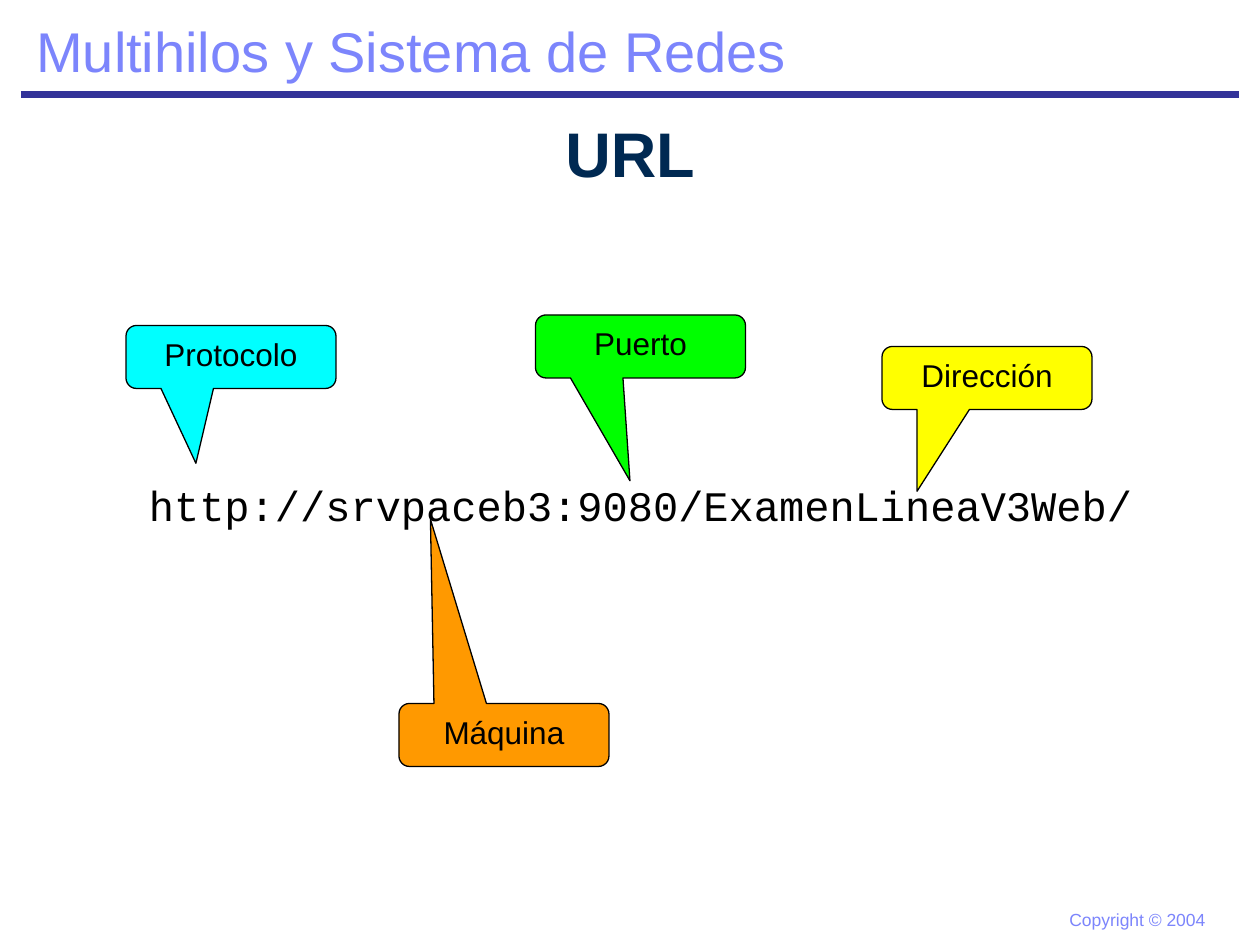
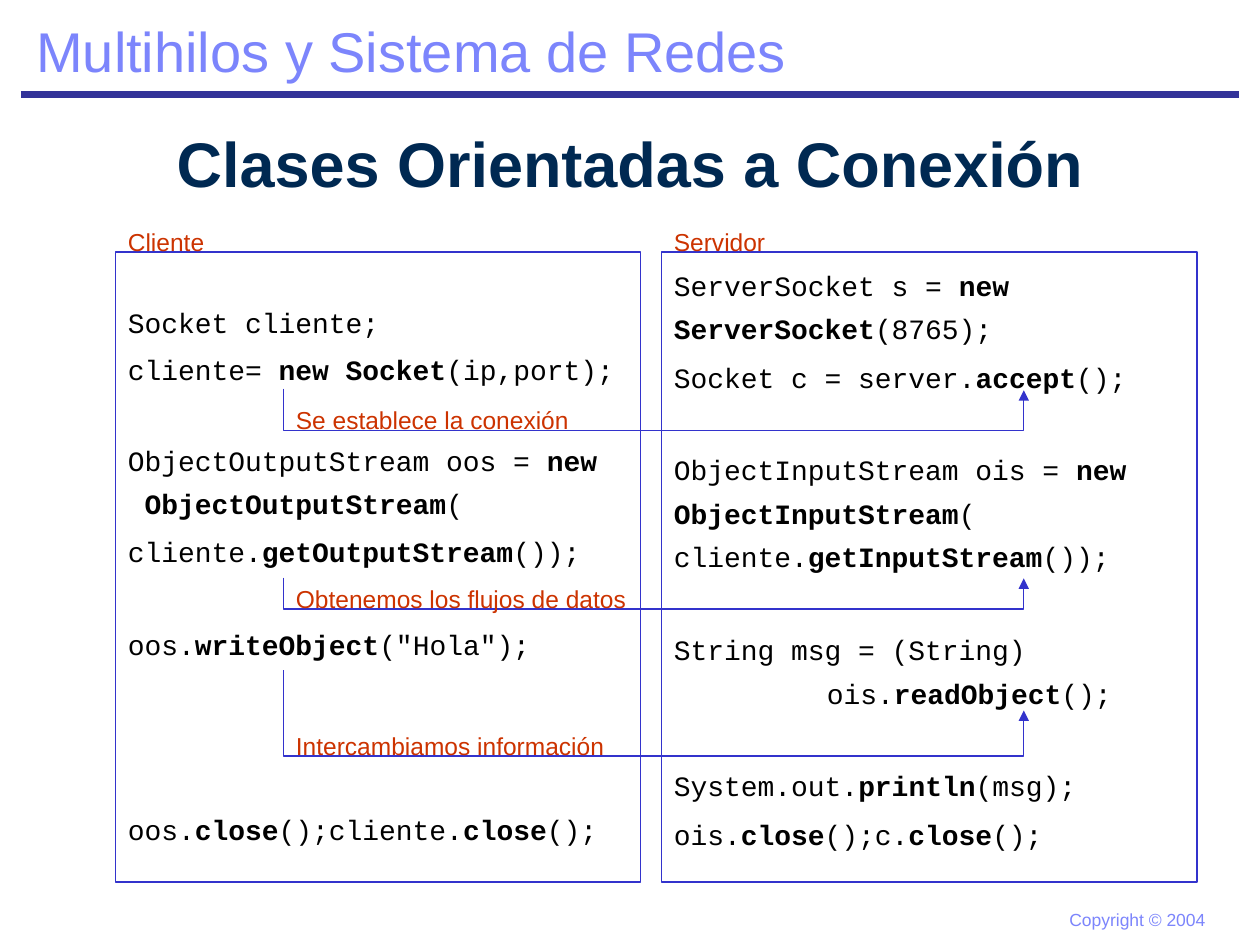
from lxml import etree
from pptx import Presentation
from pptx.dml.color import RGBColor
from pptx.enum import shapes, text
from pptx.oxml import ns
from pptx.util import Pt

SANS, MONO = "Arial", "Courier New"
BLACK, NAVY, LILAC, RED = "000000", "002952", "7C85FC", "CC3300"
BAND, BLUE = "333399", "3333CC"
TITLE_ONLY = 5


def rgb(hex_string):
    return RGBColor.from_string(hex_string)


def child(parent, tag, **attributes):
    return etree.SubElement(parent, ns.qn(tag), **attributes)


class Deck:
    """Holds the presentation, its shared style and the current slide."""

    def __init__(self):
        self.prs = Presentation()
        self.prs.slide_width, self.prs.slide_height = Pt(720), Pt(540)

    def new_slide(self, title, top):
        self.slide = self.prs.slides.add_slide(self.prs.slide_layouts[TITLE_ONLY])
        self.band()
        self.label("Copyright © 2004", 604, 516, 92, 10, LILAC, wrap=False)
        self.label("Multihilos y Sistema de Redes", 13.6, 5.8, 444, 32, LILAC, wrap=False)
        self.title(title, top)

    def band(self):
        line = self.slide.shapes.add_connector(
            shapes.MSO_CONNECTOR.STRAIGHT, Pt(12), Pt(54), Pt(708), Pt(54))
        line.line.color.rgb, line.line.width = rgb(BAND), Pt(4.5)
        child(line._element.spPr, "a:effectLst")

    def title(self, words, top):
        sp = self.slide.shapes.title
        sp.left, sp.top, sp.width, sp.height = Pt(0), Pt(top), Pt(720), Pt(54)
        tf = sp.text_frame
        tf.auto_size = text.MSO_AUTO_SIZE.NONE
        tf.vertical_anchor = text.MSO_ANCHOR.MIDDLE
        tf.text = words
        p = tf.paragraphs[0]
        p.alignment = text.PP_ALIGN.CENTER
        self.font(p, 36, NAVY, bold=True)

    def font(self, p, size, color, name=SANS, bold=False):
        f = p.font
        f.name, f.size, f.bold, f.color.rgb = name, Pt(size), bold, rgb(color)

    def label(self, words, left, top, width, size, color, name=SANS, wrap=True):
        """Add a one-line text box and return its paragraph."""
        sp = self.slide.shapes.add_textbox(Pt(left), Pt(top), Pt(width), Pt(size * 1.2 + 7.2))
        tf = sp.text_frame
        tf.word_wrap = wrap
        tf.text = words
        p = tf.paragraphs[0]
        self.font(p, size, color, name)
        return p

    def shape(self, kind, left, top, width, height, line, fill=None):
        sp = self.slide.shapes.add_shape(kind, Pt(left), Pt(top), Pt(width), Pt(height))
        sp.text_frame.vertical_anchor = text.MSO_ANCHOR.TOP
        self.outline(sp, line, fill)
        return sp

    def outline(self, sp, line, fill=None):
        sp.shadow.inherit = False
        sp.line.color.rgb, sp.line.width = rgb(line), Pt(0.75)
        if fill:
            sp.fill.solid()
            sp.fill.fore_color.rgb = rgb(fill)
        else:
            sp.fill.background()

    def callout(self, words, left, top, fill, tip_x, tip_y):
        """Tip offsets are fractions of the callout size, from its centre."""
        sp = self.shape(shapes.MSO_SHAPE.ROUNDED_RECTANGULAR_CALLOUT,
                        left, top, 120, 36, BLACK, fill)
        sp.adjustments[0], sp.adjustments[1] = tip_x, tip_y
        sp.text_frame.text = words
        p = sp.text_frame.paragraphs[0]
        p.alignment = text.PP_ALIGN.CENTER
        self.font(p, 18, BLACK)

    def code_panel(self, left, width, inset_top, after, code):
        """Code holds (space before, lines) pairs; asterisks enclose bold words."""
        sp = self.shape(shapes.MSO_SHAPE.RECTANGLE, left, 144, width, 360, BLUE)
        tf = sp.text_frame
        tf.word_wrap, tf.margin_top = True, Pt(inset_top)
        for i, (before, lines) in enumerate(code):
            p = tf.add_paragraph() if i else tf.paragraphs[0]
            p.alignment, p.line_spacing = text.PP_ALIGN.LEFT, 1.3
            p.space_before, p.space_after = Pt(before), Pt(after)
            if "\t" in lines:
                tabs = child(p._p.get_or_add_pPr(), "a:tabLst")
                child(tabs, "a:tab", pos=str(Pt(87.4)), algn="l")
            self.font(p, 16, BLACK, MONO)
            for j, line in enumerate(lines.split("\n")):
                if j:
                    p.add_line_break()
                for k, part in enumerate(line.split("*")):
                    if part:
                        r = p.add_run()
                        r.text = part
                        if k % 2:
                            r.font.bold = True

    def flow_arrow(self, start, low, tip):
        """Draw an arrow from client down to low, across, and up to the server."""
        client, server = Pt(162), Pt(585)
        builder = self.slide.shapes.build_freeform(client, Pt(start))
        builder.add_line_segments(
            [(client, Pt(low)), (server, Pt(low)), (server, Pt(tip))], close=False)
        sp = builder.convert_to_shape()
        self.outline(sp, BLUE)
        child(sp.line._get_or_add_ln(), "a:tailEnd", type="triangle")


def url_slide(deck):
    deck.new_slide("URL", 60)
    deck.callout("Protocolo", 72, 186, "00FFFF", -0.167, 1.688)
    deck.callout("Dirección", 504, 198, "FFFF00", -0.333, 1.799)
    url = deck.label("http://srvpaceb3:9080/ExamenLineaV3Web/", 78, 276, 606, 24, BLACK, MONO)
    url.line_spacing = 0.8
    deck.callout("Máquina", 228, 402, "FF9900", -0.35, -3.424)
    deck.callout("Puerto", 306, 180, "00FF00", -0.05, 2.132)


def connection_slide(deck):
    deck.new_slide("Clases Orientadas a Conexión", 66)
    deck.code_panel(378, 306, 3.6, 3, [
        (0, "ServerSocket s = *new*\n*ServerSocket*(8765);"),
        (0, "Socket c = server.*accept*();"),
        (24.5, "ObjectInputStream ois = *new*\n*ObjectInputStream*(\n"
               "cliente.*getInputStream*());"),
        (25, "String msg = (String)\n\tois.*readObject*();"),
        (25, "System.out.*println*(msg);"),
        (0, "ois.*close*();c.*close*();"),
    ])
    for start, low, tip in [(222, 246, 223), (330, 348, 330.5), (383, 432, 406)]:
        deck.flow_arrow(start, low, tip)
    deck.code_panel(66, 300, 24.7, 2, [
        (0, "Socket cliente;"),
        (0, "cliente= *new Socket*(ip,port);"),
        (25, "ObjectOutputStream oos = *new*\n *ObjectOutputStream*("),
        (0, "cliente.*getOutputStream*());"),
        (26.6, "oos.*writeObject*(\"Hola\");"),
        (78.6, "oos.*close*();cliente.*close*();"),
    ])
    for words, left, top in [
        ("Se establece la conexión", 162, 228),
        ("Obtenemos los flujos de datos", 162, 330),
        ("Intercambiamos información", 162, 414),
        ("Cliente", 66, 126),
        ("Servidor", 378, 126),
    ]:
        deck.label(words, left, top, 252, 14, RED)


def main():
    deck = Deck()
    url_slide(deck)
    connection_slide(deck)
    deck.prs.save("out.pptx")


if __name__ == "__main__":
    main()
